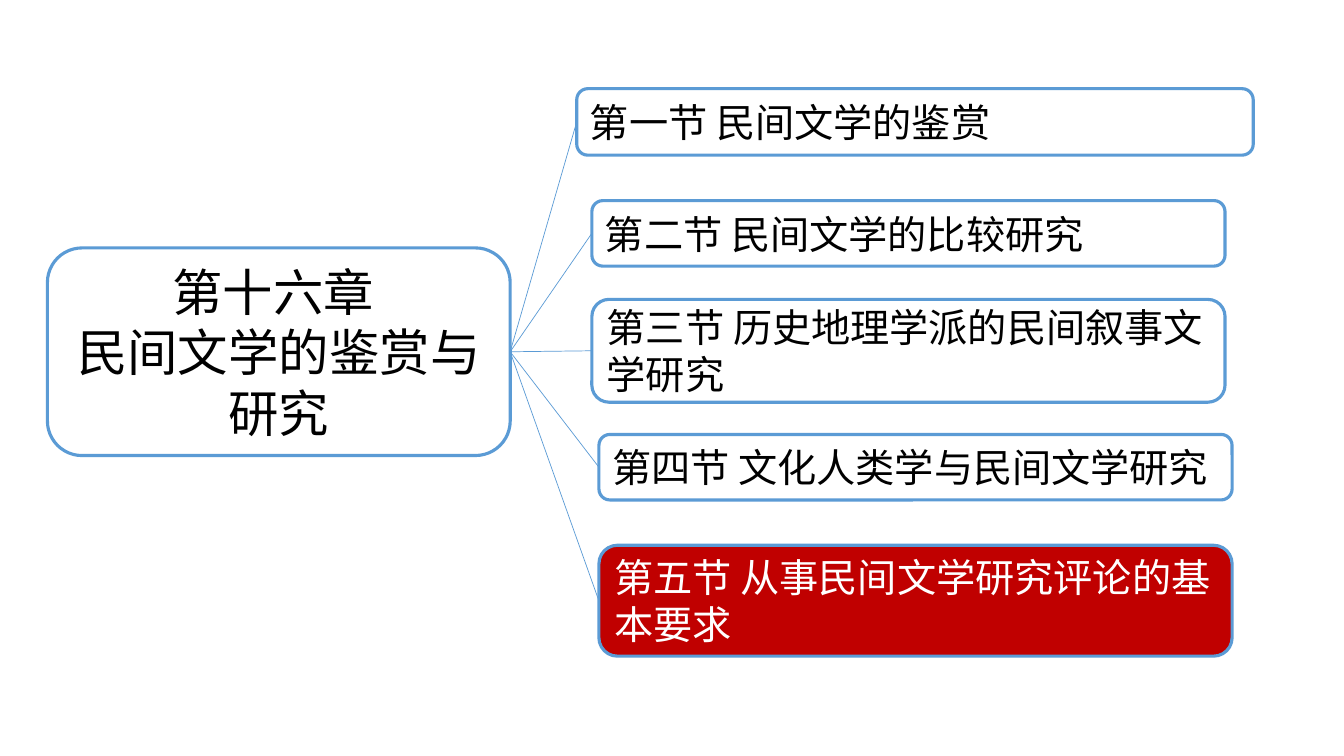
from dataclasses import dataclass

from lxml import etree
from pptx import Presentation
from pptx.dml.color import RGBColor
from pptx.enum.shapes import MSO_CONNECTOR, MSO_SHAPE
from pptx.enum.text import MSO_ANCHOR, PP_ALIGN
from pptx.oxml.ns import qn
from pptx.shapes.autoshape import Shape
from pptx.shapes.connector import Connector
from pptx.shapes.shapetree import GroupShapes
from pptx.text.text import _Paragraph
from pptx.util import Inches, Pt

ROUNDED = MSO_SHAPE.ROUNDED_RECTANGLE
STRAIGHT = MSO_CONNECTOR.STRAIGHT
MIDDLE = MSO_ANCHOR.MIDDLE
LEFT, CENTER = PP_ALIGN.LEFT, PP_ALIGN.CENTER
LEFT_SIDE, RIGHT_SIDE = 1, 3

FONT = "Noto Sans CJK SC"
BLUE, RED, BLACK, WHITE = "5B9BD5", "C00000", "000000", "FFFFFF"


@dataclass(frozen=True)
class Topic:
    lines: tuple[str, ...]
    left: float
    top: float
    width: float
    height: float
    size: int = 28
    align: PP_ALIGN = LEFT
    fill: str | None = None
    color: str = BLACK


CHAPTER = Topic(("第十六章 ", "民间文学的鉴赏与研究"), 0.47, 2.46, 4.59, 2.06, 36, CENTER)
SECTIONS = (
    Topic(("第一节 民间文学的鉴赏",), 5.72, 0.88, 6.71, 0.66),
    Topic(("第二节 民间文学的比较研究",), 5.87, 1.99, 6.28, 0.65),
    Topic(("第三节 历史地理学派的民间叙事文学研究",), 5.87, 2.97, 6.28, 1.02),
    Topic(("第四节 文化人类学与民间文学研究",), 5.94, 4.31, 6.28, 0.65),
    Topic(("第五节 从事民间文学研究评论的基本要求",), 5.94, 5.41, 6.28, 1.1,
          fill=RED, color=WHITE),
)


def rgb(color: str) -> RGBColor:
    return RGBColor.from_string(color)


def style_paragraph(para: _Paragraph, topic: Topic) -> None:
    para.alignment = topic.align
    para.font.size = Pt(topic.size)
    para.font.color.rgb = rgb(topic.color)
    para.font.name = FONT
    # Chinese characters take the East Asian typeface
    properties = para._p.get_or_add_pPr().find(qn("a:defRPr"))
    etree.SubElement(properties, qn("a:ea"), typeface=FONT)


def add_topic(shapes: GroupShapes, topic: Topic) -> Shape:
    box = shapes.add_shape(ROUNDED, Inches(topic.left), Inches(topic.top),
                           Inches(topic.width), Inches(topic.height))
    box.shadow.inherit = False
    if topic.fill:
        box.fill.solid()
        box.fill.fore_color.rgb = rgb(topic.fill)
    else:
        box.fill.background()
    box.line.color.rgb = rgb(BLUE)
    box.line.width = Pt(2.25)

    frame = box.text_frame
    frame.word_wrap = True
    frame.vertical_anchor = MIDDLE
    frame.text = "\n".join(topic.lines)
    for para in frame.paragraphs:
        style_paragraph(para, topic)
    return box


def add_branch(shapes: GroupShapes, start: Shape, end: Shape) -> Connector:
    branch = shapes.add_connector(STRAIGHT, 0, 0, 0, 0)
    branch.begin_connect(start, RIGHT_SIDE)
    branch.end_connect(end, LEFT_SIDE)
    branch.line.color.rgb = rgb(BLUE)
    branch.line.width = Pt(0.5)
    etree.SubElement(branch._element.spPr, qn("a:effectLst"))
    return branch


def main() -> None:
    deck = Presentation()
    deck.slide_width, deck.slide_height = Inches(13.33), Inches(7.5)
    page = deck.slides.add_slide(deck.slide_layouts[6])

    # Chapter on the left, one branch to each section on the right
    shapes = page.shapes.add_group_shape().shapes
    chapter_box = add_topic(shapes, CHAPTER)
    for section in SECTIONS:
        section_box = add_topic(shapes, section)
        add_branch(shapes, chapter_box, section_box)

    deck.save("out.pptx")


if __name__ == "__main__":
    main()
